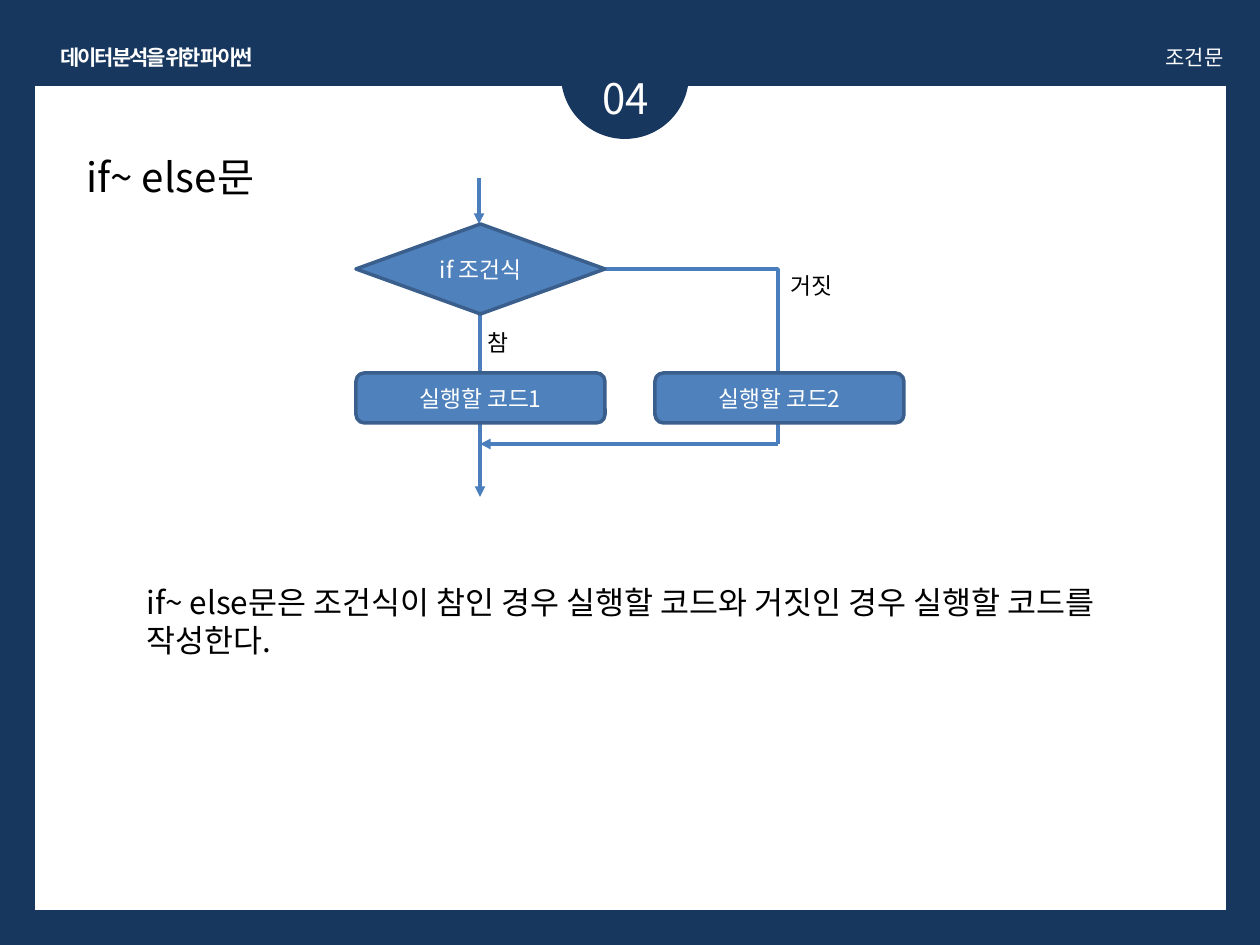
from lxml import etree
from pptx import Presentation
from pptx.dml.color import RGBColor
from pptx.enum.shapes import MSO_CONNECTOR, MSO_SHAPE
from pptx.enum.text import MSO_ANCHOR, PP_ALIGN
from pptx.oxml.ns import qn
from pptx.util import Pt

PX = 914400 / 126
FONT = "Noto Sans CJK KR"
COLORS = {
    "navy": "17375E",
    "white": "FFFFFF",
    "black": "000000",
    "node": "4F81BD",
    "border": "3A5F8C",
    "flow": "4B7EBC",
}
LEFT, CENTER, RIGHT = PP_ALIGN.LEFT, PP_ALIGN.CENTER, PP_ALIGN.RIGHT
MIDDLE = MSO_ANCHOR.MIDDLE
RECT, OVAL = MSO_SHAPE.RECTANGLE, MSO_SHAPE.OVAL
DIAMOND, ROUNDED = MSO_SHAPE.DIAMOND, MSO_SHAPE.ROUNDED_RECTANGLE
STRAIGHT, ELBOW = MSO_CONNECTOR.STRAIGHT, MSO_CONNECTOR.ELBOW


def px(*values):
    return [round(v * PX) for v in values]


def rgb(name):
    return RGBColor.from_string(COLORS[name])


def write(tf, text, size, color, align=LEFT, bold=False, spacing=None):
    p = tf.paragraphs[0]
    p.text = text
    p.alignment = align
    font = p.font
    font.name = FONT
    font.size = Pt(size)
    font.bold = bold
    font.color.rgb = rgb(color)
    rpr = p._p.pPr.find(qn("a:defRPr"))
    etree.SubElement(rpr, qn("a:ea")).set("typeface", FONT)
    if spacing is not None:
        rpr.set("spc", str(round(spacing * 100)))


def add_text(s, box, text, size, color, align=LEFT, wrap=True, **style):
    tf = s.shapes.add_textbox(*px(*box)).text_frame
    tf.word_wrap = wrap
    write(tf, text, size, color, align, **style)


def add_shape(s, kind, box, fill, border=None):
    sp = s.shapes.add_shape(kind, *px(*box))
    sp.shadow.inherit = False
    sp.fill.solid()
    sp.fill.fore_color.rgb = rgb(fill)
    if border:
        sp.line.color.rgb = rgb(border)
        sp.line.width = Pt(2)
    else:
        sp.line.fill.background()
    return sp


def add_node(s, kind, box, text):
    sp = add_shape(s, kind, box, "node", "border")
    tf = sp.text_frame
    tf.word_wrap = True
    tf.vertical_anchor = MIDDLE
    write(tf, text, 13, "white", CENTER)


def add_flow(s, start, end, arrow=True, kind=STRAIGHT):
    cxn = s.shapes.add_connector(kind, *px(*start, *end))
    cxn.line.color.rgb = rgb("flow")
    cxn.line.width = Pt(2)
    sppr = cxn._element.spPr
    if kind == ELBOW:
        sppr.find(qn("a:prstGeom")).set("prst", "bentConnector2")
    if arrow:
        etree.SubElement(sppr.find(qn("a:ln")), qn("a:tailEnd")).set("type", "triangle")
    etree.SubElement(sppr, qn("a:effectLst"))


def draw_frame(s, x, y, w, h):
    add_shape(s, RECT, (x, y, w, h), "white")
    add_shape(s, OVAL, (x + 526, y - 75, 128, 128), "navy")
    add_text(s, (x, y - 48, 244, 38), "데이터 분석을 위한 파이썬", 12, "white",
             CENTER, wrap=False, bold=True, spacing=-1.5)
    add_text(s, (x + 516, y - 20, 149, 63), "04", 24, "white", CENTER)
    add_text(s, (x + 705, y - 48, 496, 38), "조건문", 12, "white", RIGHT)


def draw_flowchart(s, x, y):
    node_w, diamond_h, code_h, pitch = 249, 90, 50, 299
    main_x = x + node_w // 2
    else_x = x + 422
    diamond_y, code_y, merge_y = y + 46, y + 195, y + 266

    add_flow(s, (main_x - 1, y), (main_x - 1, diamond_y))
    add_flow(s, (main_x, diamond_y + diamond_h), (main_x, y + 319))
    add_flow(s, (x + node_w, diamond_y + diamond_h // 2), (else_x, merge_y),
             arrow=False, kind=ELBOW)
    add_flow(s, (else_x, merge_y), (main_x, merge_y))

    add_node(s, DIAMOND, (x, diamond_y, node_w, diamond_h), "if 조건식")
    for i in range(2):
        add_node(s, ROUNDED, (x + i * pitch, code_y, node_w, code_h), f"실행할 코드{i + 1}")

    add_text(s, (main_x - 5, y + 145, 44, 40), "참", 13, "black")
    add_text(s, (else_x, y + 88, 84, 40), "거짓", 13, "black")


def draw_content(s, x, y):
    add_text(s, (x, y, 1101, 62), "if~ else문", 23, "black")
    draw_flowchart(s, x + 282, y + 32)
    add_text(s, (x + 60, y + 431, 992, 89),
             "if~ else문은 조건식이 참인 경우 실행할 코드와 거짓인 경우 실행할 코드를 작성한다.",
             18, "black")


def main():
    prs = Presentation()
    prs.slide_width, prs.slide_height = px(1260, 945)
    s = prs.slides.add_slide(prs.slide_layouts[6])
    s.background.fill.solid()
    s.background.fill.fore_color.rgb = rgb("navy")
    draw_frame(s, 35, 86, 1191, 824)
    draw_content(s, 74, 146)
    prs.save("out.pptx")


if __name__ == "__main__":
    main()
